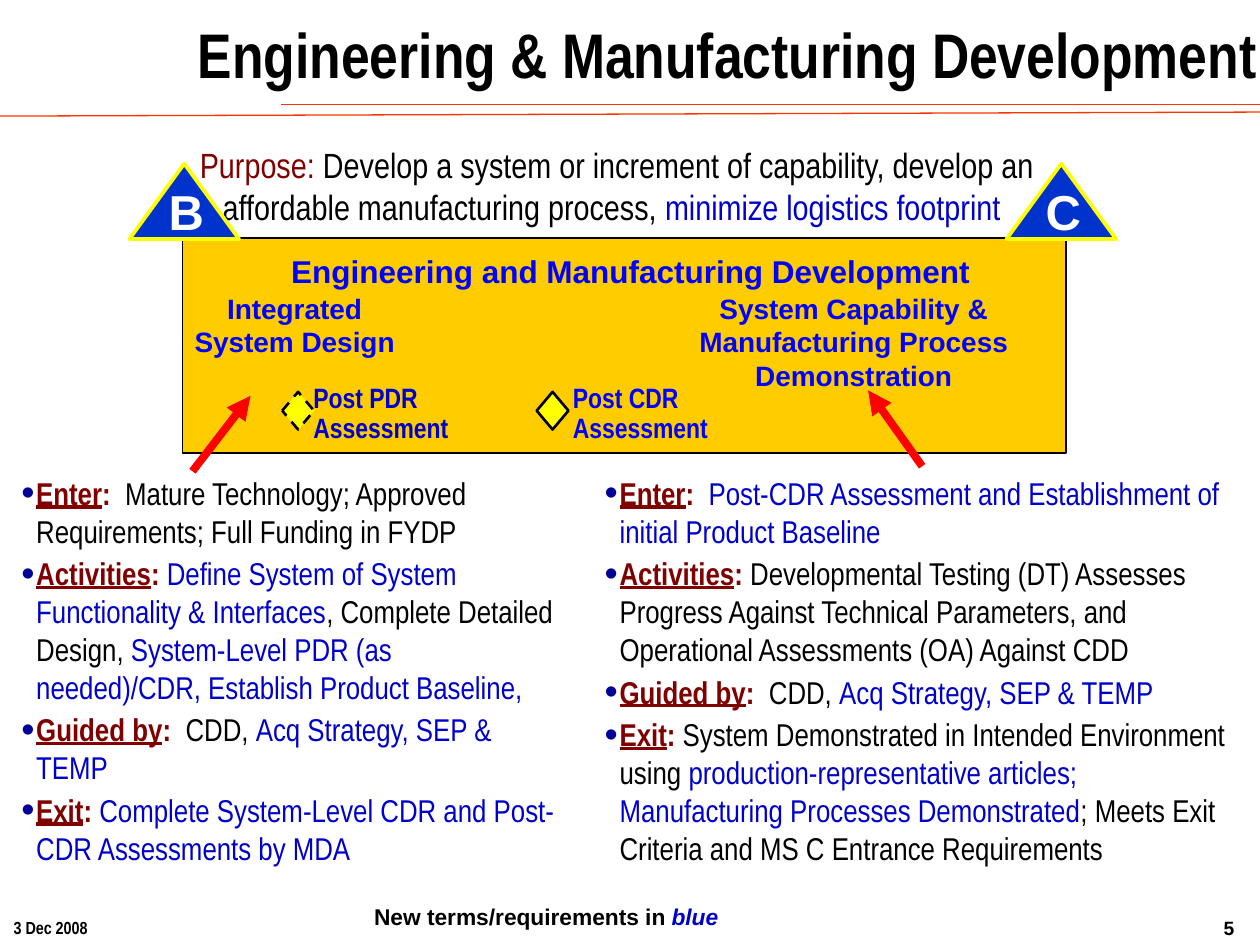
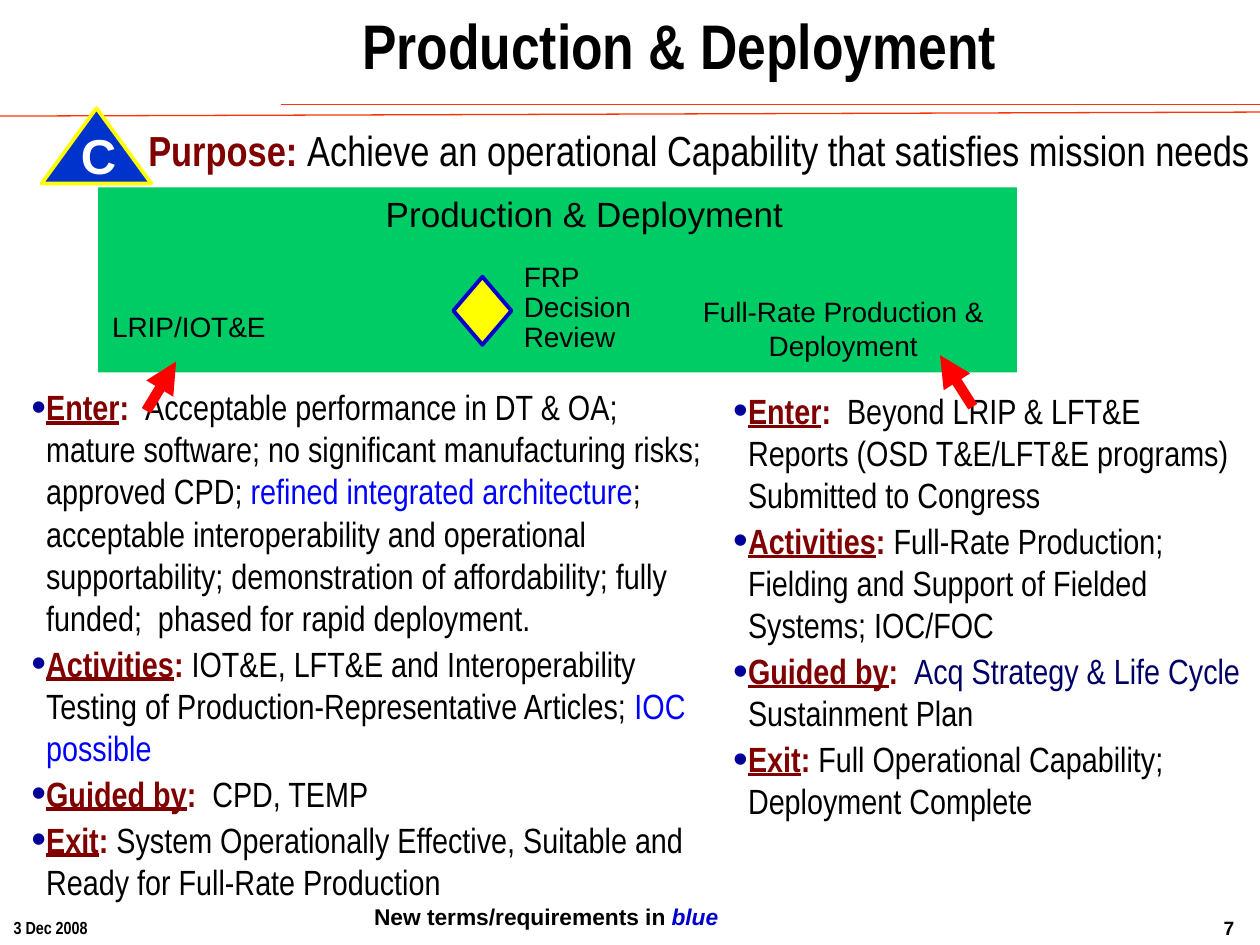
"""Build two acquisition-phase slides that share one frame and one list style."""
from collections import namedtuple

from pptx import Presentation
from pptx.dml.color import RGBColor
from pptx.enum.dml import MSO_LINE_DASH_STYLE as Dash
from pptx.enum.shapes import MSO_CONNECTOR as Connector, MSO_SHAPE as Shape
from pptx.enum.text import MSO_ANCHOR as Anchor, MSO_AUTO_SIZE as AutoSize, PP_ALIGN as Align
from pptx.oxml.ns import qn
from pptx.oxml.xmlchemy import OxmlElement
from pptx.util import Cm, Pt

COLORS = {
    "black": "000000", "white": "FFFFFF", "maroon": "800000", "new": "0000CC",
    "bright": "0000FF", "navy": "000066", "bullet": "000099", "rule": "FF3300",
    "gold": "FFCC00", "green": "00CC66", "yellow": "FFFF00", "marker": "0033CC",
    "arrow": "FF0000",
}
SANS, NARROW = "Arial", "Arial Narrow"
MARGINS = ("margin_left", "margin_top", "margin_right", "margin_bottom")
LIST_LAYOUT = 3


class Box(namedtuple("Box", "left top width height")):
    """A rectangle in centimetres."""

    def inside(self, left, top, width, height):
        """Return a box whose corner is offset from this one."""
        return Box(self.left + left, self.top + top, width, height)

    def lengths(self):
        """Return the four lengths ready for python-pptx."""
        return [Cm(value) for value in self]


def color(name):
    """Look up a named colour."""
    return RGBColor.from_string(COLORS[name])


def add_span(para, text, tint, **formats):
    """Append a run and give it its colour and font values."""
    span = para.add_run()
    span.text = text
    span.font.color.rgb = color(tint)
    for name, value in formats.items():
        setattr(span.font, name, value)


def set_frame(shape, box, wrap=True, margins=(0.25, 0.13, 0.25, 0.13)):
    """Place a text holder and return its prepared text frame."""
    for name, value in zip(("left", "top", "width", "height"), box.lengths()):
        setattr(shape, name, value)
    frame = shape.text_frame
    formats = dict(zip(MARGINS, map(Cm, margins)))
    formats.update(word_wrap=wrap, auto_size=AutoSize.NONE, vertical_anchor=Anchor.TOP)
    for name, value in formats.items():
        setattr(frame, name, value)
    return frame


def add_text(page, box, lines, tint, size, font=SANS, bold=False, align=Align.CENTER,
             spacing=1.0, **frame_formats):
    """Add a text box with one paragraph for each line and return the last one."""
    frame = set_frame(page.shapes.add_textbox(*box.lengths()), box, **frame_formats)
    for index, line in enumerate(lines):
        para = frame.add_paragraph() if index else frame.paragraphs[0]
        para.alignment, para.line_spacing = align, spacing
        add_span(para, line, tint, size=Pt(size), name=font, bold=bold)
    return para


def add_figure(page, kind, box, fill, line=None, width=1, dash=None):
    """Add a filled preset shape, outlined if a line colour is given."""
    shape = page.shapes.add_shape(kind, *box.lengths())
    shape.shadow.inherit = False
    shape.fill.solid()
    shape.fill.fore_color.rgb = color(fill)
    if line:
        shape.line.color.rgb = color(line)
        shape.line.width = Pt(width)
        shape.line.dash_style = dash
    else:
        shape.line.fill.background()


def add_line(page, start, end, tint, width, arrow=False):
    """Add a straight line, with a triangle at its end for an arrow."""
    line = page.shapes.add_connector(Connector.STRAIGHT, *map(Cm, start + end))
    line.line.color.rgb = color(tint)
    line.line.width = Pt(width)
    properties = line._element.spPr
    if arrow:
        head = OxmlElement("a:tailEnd")
        head.set("type", "triangle")
        properties.find(qn("a:ln")).append(head)
    properties.append(OxmlElement("a:effectLst"))


def add_arrow(page, box, start, end, width):
    """Add a red arrow between two points relative to a box."""
    points = [(box.left + x, box.top + y) for x, y in (start, end)]
    add_line(page, *points, "arrow", width, arrow=True)


def add_title(page, box, text, spacing=1.0):
    """Fill and place the title placeholder."""
    para = set_frame(page.shapes.title, box, wrap=False).paragraphs[0]
    para.alignment, para.line_spacing = Align.CENTER, spacing
    add_span(para, text, "black", size=Pt(36), name=NARROW, bold=True)


def add_rules_and_footer(page, box, number):
    """Draw the two rules, the date, the colour note and the page number."""
    add_line(page, (box.width, 2.11), (5.66, 2.11), "rule", 0.5)
    add_line(page, (0, 2.34), (box.width, 2.26), "rule", 0.75)
    add_text(page, box.inside(0.03, 18.36, 1.98, 0.69), ["3 Dec 2008"], "black", 10,
             NARROW, True, wrap=False)
    add_text(page, box.inside(24.28, 18.34, 0.99, 0.71), [number], "black", 11,
             bold=True, wrap=False)
    para = add_text(page, box.inside(7.24, 18.06, 7.54, 0.81),
                    ["New terms/requirements in "], "black", 13, bold=True, wrap=False)
    add_span(para, "blue", "new", size=Pt(13), name=SANS, bold=True, italic=True)


def add_purpose(page, box, size, bold, spans):
    """Write the purpose statement with a hanging indent."""
    para = add_text(page, box, ["Purpose: "], "maroon", size, NARROW, bold, Align.LEFT)
    properties = para._p.get_or_add_pPr()
    properties.set("marL", str(Cm(0.79)))
    properties.set("indent", str(Cm(-0.46)))
    for text, tint in spans:
        add_span(para, text, tint, size=Pt(size), name=NARROW, bold=False)


def set_bullet(para):
    """Give a paragraph the round dark blue bullet."""
    properties = para._p.get_or_add_pPr()
    properties.set("marL", str(Cm(0.3)))
    properties.set("indent", str(Cm(-0.3)))
    tint = OxmlElement("a:buClr")
    value = OxmlElement("a:srgbClr")
    value.set("val", COLORS["bullet"])
    tint.append(value)
    size = OxmlElement("a:buSzPct")
    size.set("val", "120000")
    mark = OxmlElement("a:buChar")
    mark.set("char", "\u2022")
    for element in (tint, size, mark):
        properties.append(element)


def add_criteria(holder, box, size, gap, items):
    """Fill a body placeholder with labelled criteria."""
    frame = set_frame(holder, box)
    font = {"size": Pt(size), "name": NARROW}
    for index, (label, colon, spans) in enumerate(items):
        para = frame.add_paragraph() if index else frame.paragraphs[0]
        para.space_before, para.space_after = Pt(0), Pt(gap)
        set_bullet(para)
        add_span(para, label, "maroon", bold=True, underline=True, **font)
        add_span(para, colon, "maroon", bold=True, underline=False, **font)
        for text, tint in spans:
            add_span(para, text, tint, bold=False, **font)


def add_milestone(page, box, letter):
    """Draw a milestone triangle with its letter."""
    add_figure(page, Shape.ISOSCELES_TRIANGLE, box, "marker", "yellow", 2.13)
    add_text(page, box.inside(0.79, 0.35, 0.71, 1.19), [letter], "white", 28, bold=True,
             align=Align.LEFT, wrap=False, margins=(0, 0, 0, 0))


def add_development_band(page, box):
    """Draw the gold development phase with its reviews and milestones."""
    add_figure(page, Shape.RECTANGLE, box, "gold", "black")
    for place, text, size in (
        ((1.02, 0.15, 16.21, 1.02), "Engineering and Manufacturing Development ", 18),
        ((-0.23, 0.94, 4.98, 1.63), "Integrated System Design", 16),
        ((8.97, 0.94, 9.12, 2.31),
         "System Capability & Manufacturing Process Demonstration", 16),
    ):
        add_text(page, box.inside(*place), [text], "bright", size, bold=True)
    for diamond, label, review, tint, dash in (
        (2.01, 2.39, "Post PDR", "new", Dash.DASH),
        (7.14, 7.62, "Post CDR", "bright", None),
    ):
        add_text(page, box.inside(label, 2.82, 4.2, 1.5), [review, "Assessment"], tint, 16,
                 NARROW, True, Align.LEFT, 0.9)
        add_figure(page, Shape.DIAMOND, box.inside(diamond, 3.1, 0.64, 0.76),
                   "yellow", "black", 1.5, dash)
    for left, letter in ((-1.07, "B"), (16.61, "C")):
        add_milestone(page, box.inside(left, -1.5, 2.21, 1.52), letter)
    add_arrow(page, box, (0.2, 4.7), (1.37, 3.18), 4.5)
    add_arrow(page, box, (14.91, 4.6), (13.82, 3.07), 4.5)


def add_production_band(page, box):
    """Draw the green production phase with its review and milestone."""
    add_figure(page, Shape.RECTANGLE, box, "green")
    for place, lines, size, align, spacing in (
        ((2.97, -0.03, 13.67, 1.09), ["Production & Deployment"], 20, Align.CENTER, 1.0),
        ((8.33, 1.4, 2.92, 2.08), ["FRP", "Decision", "Review"], 16, Align.LEFT, 0.9),
        ((0.03, 2.34, 3.84, 0.94), ["LRIP/IOT&E"], 16, Align.LEFT, 1.0),
        ((11.63, 2.03, 6.78, 1.63), ["Full-Rate Production & Deployment"], 16,
         Align.CENTER, 1.0),
    ):
        add_text(page, box.inside(*place), lines, "black", size, align=align,
                 spacing=spacing)
    add_milestone(page, box.inside(-1.14, -1.6, 2.21, 1.52), "C")
    add_figure(page, Shape.DIAMOND, box.inside(7.16, 1.8, 1.17, 1.37), "yellow", "new", 2.25)
    add_arrow(page, box, (0.97, 4.5), (1.57, 3.51), 6)
    add_arrow(page, box, (17.63, 4.42), (16.97, 3.38), 6)


def build_development(page, box):
    """Compose the engineering and manufacturing development slide."""
    add_rules_and_footer(page, box, "5")
    add_title(page, box.inside(3.63, 0.41, 22.07, 1.57),
              "Engineering & Manufacturing Development", 0.85)
    add_purpose(page, box.inside(3.45, 2.76, 19.02, 1.96), 20, False, [
        ("Develop a system or increment of capability, develop an affordable "
         "manufacturing process, ", "black"),
        ("minimize logistics footprint ", "new")])
    add_development_band(page, box.inside(3.68, 4.8, 17.81, 4.34))
    guided = ("Guided by", ":  ", [("CDD, ", "black"), ("Acq Strategy, SEP & TEMP", "new")])
    add_criteria(page.placeholders[1], box.inside(0.18, 9.42, 11.4, 8.13), 18, 2.8, [
        ("Enter", ":  ", [
            ("Mature Technology; Approved Requirements; Full Funding in FYDP", "black")]),
        ("Activities", ": ", [
            ("Define System of System Functionality & Interfaces", "new"),
            (", Complete Detailed Design, ", "black"),
            ("System-Level PDR (as needed)/CDR, Establish Product Baseline, ", "new")]),
        guided,
        ("Exit", ": ", [
            ("Complete System-Level CDR and Post-CDR Assessments by MDA", "new")])])
    add_criteria(page.placeholders[2], box.inside(11.94, 9.42, 13.16, 8.64), 18, 2.8, [
        ("Enter", ":  ", [
            ("Post-CDR Assessment and Establishment of initial Product Baseline", "new")]),
        ("Activities", ": ", [
            ("Developmental Testing (DT) Assesses Progress Against Technical Parameters, "
             "and Operational Assessments (OA) Against CDD ", "black")]),
        guided,
        ("Exit", ": ", [
            ("System Demonstrated in Intended Environment using ", "black"),
            ("production-representative articles; Manufacturing Processes Demonstrated",
             "new"),
            ("; Meets Exit Criteria and MS C Entrance Requirements", "black")])])


def build_production(page, box):
    """Compose the production and deployment slide."""
    add_rules_and_footer(page, box, "7")
    add_title(page, box.inside(6.99, 0, 13.41, 1.8), "Production & Deployment")
    add_purpose(page, box.inside(2.41, 2.39, 23.42, 1.27), 24, True, [
        ("Achieve an operational Capability that satisfies mission needs ", "black")])
    add_criteria(page.placeholders[1], box.inside(0.38, 7.65, 14.07, 7.42), 20, 2.3, [
        ("Enter", ":  ", [
            ("Acceptable performance in DT & OA; mature software; no significant "
             "manufacturing risks; approved CPD; ", "black"),
            ("refined integrated architecture", "bright"),
            ("; acceptable interoperability and operational supportability; demonstration "
             "of affordability; fully funded;  phased for rapid deployment.", "black")]),
        ("Activities", ": ", [
            ("IOT&E, LFT&E and Interoperability Testing of Production-Representative "
             "Articles; ", "black"),
            ("IOC possible", "bright")]),
        ("Guided by", ":  ", [("CPD, TEMP ", "black")]),
        ("Exit", ": ", [
            ("System Operationally Effective, Suitable and Ready for Full-Rate Production",
             "black")])])
    add_criteria(page.placeholders[2], box.inside(14.53, 7.72, 10.87, 7.39), 20, 2.3, [
        ("Enter", ":  ", [
            ("Beyond LRIP & LFT&E Reports (OSD T&E/LFT&E programs) Submitted to Congress",
             "black")]),
        ("Activities", ": ", [
            ("Full-Rate Production; Fielding and Support of Fielded Systems; IOC/FOC",
             "black")]),
        ("Guided by", ":  ", [
            ("Acq Strategy & Life Cycle", "navy"), (" Sustainment Plan ", "black")]),
        ("Exit", ": ", [("Full Operational Capability; Deployment Complete", "black")])])
    add_production_band(page, box.inside(1.98, 3.78, 18.52, 3.73))


deck = Presentation()
canvas = Box(0, 0, 25.4, 19.05)
deck.slide_width, deck.slide_height = Cm(canvas.width), Cm(canvas.height)
for build in (build_development, build_production):
    build(deck.slides.add_slide(deck.slide_layouts[LIST_LAYOUT]), canvas)
deck.save("out.pptx")
